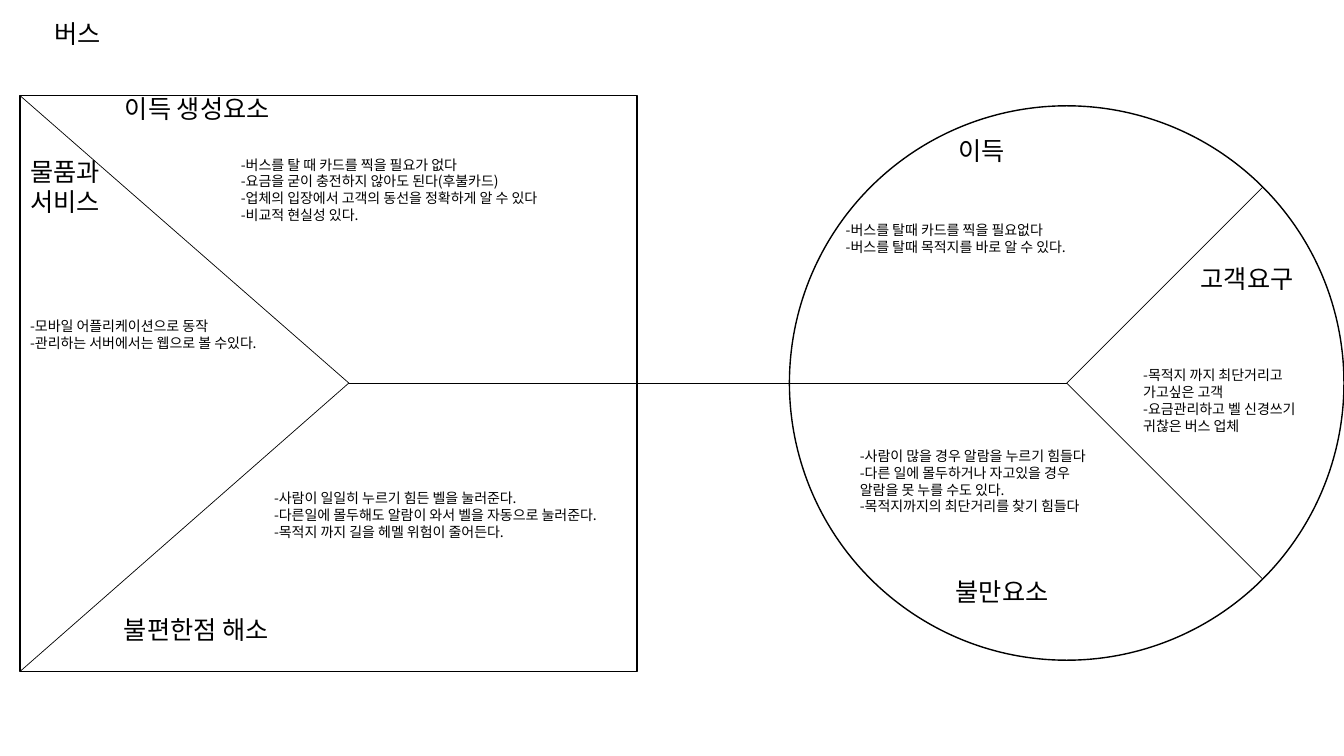
from dataclasses import dataclass
from math import cos, pi, sin
from typing import NamedTuple

from lxml.etree import SubElement
from pptx import Presentation
from pptx.dml.color import RGBColor
from pptx.enum.shapes import MSO_CONNECTOR as Connector, MSO_SHAPE as Shape
from pptx.enum.text import MSO_AUTO_SIZE as AutoSize
from pptx.oxml.ns import qn
from pptx.util import Inches, Pt


@dataclass(frozen=True)
class Theme:
    """Colours, font, type sizes and line weights of the slide."""
    ink: RGBColor = RGBColor(0, 0, 0)
    font: str = "Noto Sans CJK KR"
    heading: int = 18
    detail: int = 10
    outline: float = 1
    divider: float = 0.5


class Point(NamedTuple):
    """A place in grid columns and rows."""
    col: float
    row: float


class Area(NamedTuple):
    """A rectangle in grid columns and rows."""
    col: float
    row: float
    cols: float
    rows: float


class Note(NamedTuple):
    """A block of paragraphs in one type size."""
    area: Area
    size: int
    lines: tuple[str, ...]


THEME = Theme()
CELL = 0.1
AXIS_ROW = 38
RADIUS = 27.5
VALUE_MAP = Area(2, 9.5, 61.2, 57.1)
VALUE_HUB = Point(34.6, AXIS_ROW)
CUSTOMER_HUB = Point(105.8, AXIS_ROW)
CUSTOMER_PROFILE = Area(CUSTOMER_HUB.col - RADIUS, AXIS_ROW - RADIUS, 2 * RADIUS, 2 * RADIUS)

OUTLINES = ((Shape.OVAL, CUSTOMER_PROFILE), (Shape.RECTANGLE, VALUE_MAP))
DIVIDERS = (
    *((Point(VALUE_MAP.col, row), VALUE_HUB)
      for row in (VALUE_MAP.row, VALUE_MAP.row + VALUE_MAP.rows)),
    (VALUE_HUB, CUSTOMER_HUB),
    *((CUSTOMER_HUB, Point(CUSTOMER_HUB.col + RADIUS * cos(angle),
                           AXIS_ROW + RADIUS * sin(angle)))
      for angle in (-pi / 4, pi / 4)),
)
NOTES = (
    Note(Area(2, 15, 18.9, 7.1), THEME.heading, ("물품과", "서비스")),
    Note(Area(11.4, 8.8, 29.8, 4), THEME.heading, ("이득 생성요소",)),
    Note(Area(11.3, 60.5, 29.8, 4), THEME.heading, ("불편한점 해소",)),
    Note(Area(94.1, 12.9, 11.7, 4), THEME.heading, ("이득",)),
    Note(Area(93.8, 56.7, 12.1, 4), THEME.heading, ("불만요소",)),
    Note(Area(118.1, 25.6, 12.8, 4), THEME.heading, ("고객요구",)),
    Note(Area(4.4, 1.3, 24.1, 4.2), THEME.heading, ("버스",)),
    Note(Area(22.9, 15, 40.2, 7.7), THEME.detail, (
        "-버스를 탈 때 카드를 찍을 필요가 없다",
        "-요금을 굳이 충전하지 않아도 된다(후불카드)",
        "-업체의 입장에서 고객의 동선을 정확하게 알 수 있다",
        "-비교적 현실성 있다.")),
    Note(Area(2, 31, 40.2, 4.4), THEME.detail, (
        "-모바일 어플리케이션으로 동작",
        "-관리하는 서버에서는 웹으로 볼 수있다.")),
    Note(Area(26.2, 48.1, 36, 7.7), THEME.detail, (
        "-사람이 일일히 누르기 힘든 벨을 눌러준다.",
        "-다른일에 몰두해도 알람이 와서 벨을 자동으로 눌러준다.",
        "-목적지 까지 길을 헤멜 위험이 줄어든다.")),
    Note(Area(82.9, 21.5, 29.6, 4.4), THEME.detail, (
        "-버스를 탈때 카드를 찍을 필요없다",
        "-버스를 탈때 목적지를 바로 알 수 있다.")),
    Note(Area(84.3, 43.9, 26.8, 9.4), THEME.detail, (
        "-사람이 많을 경우 알람을 누르기 힘들다",
        "-다른 일에 몰두하거나 자고있을 경우 알람을 못 누를 수도 있다.",
        "-목적지까지의 최단거리를 찾기 힘들다")),
    Note(Area(112.4, 35.9, 19.3, 7.7), THEME.detail, (
        "-목적지 까지 최단거리고 가고싶은 고객",
        "-요금관리하고 벨 신경쓰기 귀찮은 버스 업체")),
)


def to_lengths(cells: Area | Point) -> list[int]:
    """Turn grid cells into slide lengths."""
    return [Inches(value * CELL) for value in cells]


def draw_outline(shapes, preset: Shape, area: Area) -> None:
    """Draw an unfilled outline."""
    outline = shapes.add_shape(preset, *to_lengths(area))
    outline.shadow.inherit = False
    outline.fill.background()
    outline.line.color.rgb = THEME.ink
    outline.line.width = Pt(THEME.outline)


def draw_divider(shapes, start: Point, end: Point) -> None:
    """Draw a thin line between two points."""
    divider = shapes.add_connector(Connector.STRAIGHT, *to_lengths(start), *to_lengths(end))
    divider.line.color.rgb = THEME.ink
    divider.line.width = Pt(THEME.divider)
    SubElement(divider._element.spPr, qn("a:effectLst"))


def write_note(shapes, note: Note) -> None:
    """Write a note with one paragraph for each line."""
    frame = shapes.add_textbox(*to_lengths(note.area)).text_frame
    frame.word_wrap = True
    frame.auto_size = AutoSize.SHAPE_TO_FIT_TEXT
    frame.text = "\n".join(note.lines)
    for paragraph in frame.paragraphs:
        for run in paragraph.runs:
            run.font.size = Pt(note.size)
            run.font.color.rgb = THEME.ink
            run.font.name = THEME.font
            SubElement(run.font._element, qn("a:ea"), typeface=THEME.font)


def main() -> None:
    """Build the value proposition canvas and save it."""
    deck = Presentation()
    deck.slide_width, deck.slide_height = Inches(13.33), Inches(7.5)
    slide = deck.slides.add_slide(deck.slide_layouts[6])
    canvas = slide.shapes.add_group_shape().shapes
    for preset, area in OUTLINES:
        draw_outline(canvas, preset, area)
    for start, end in DIVIDERS:
        draw_divider(canvas, start, end)
    for note in NOTES:
        write_note(slide.shapes, note)
    deck.save("out.pptx")


main()
